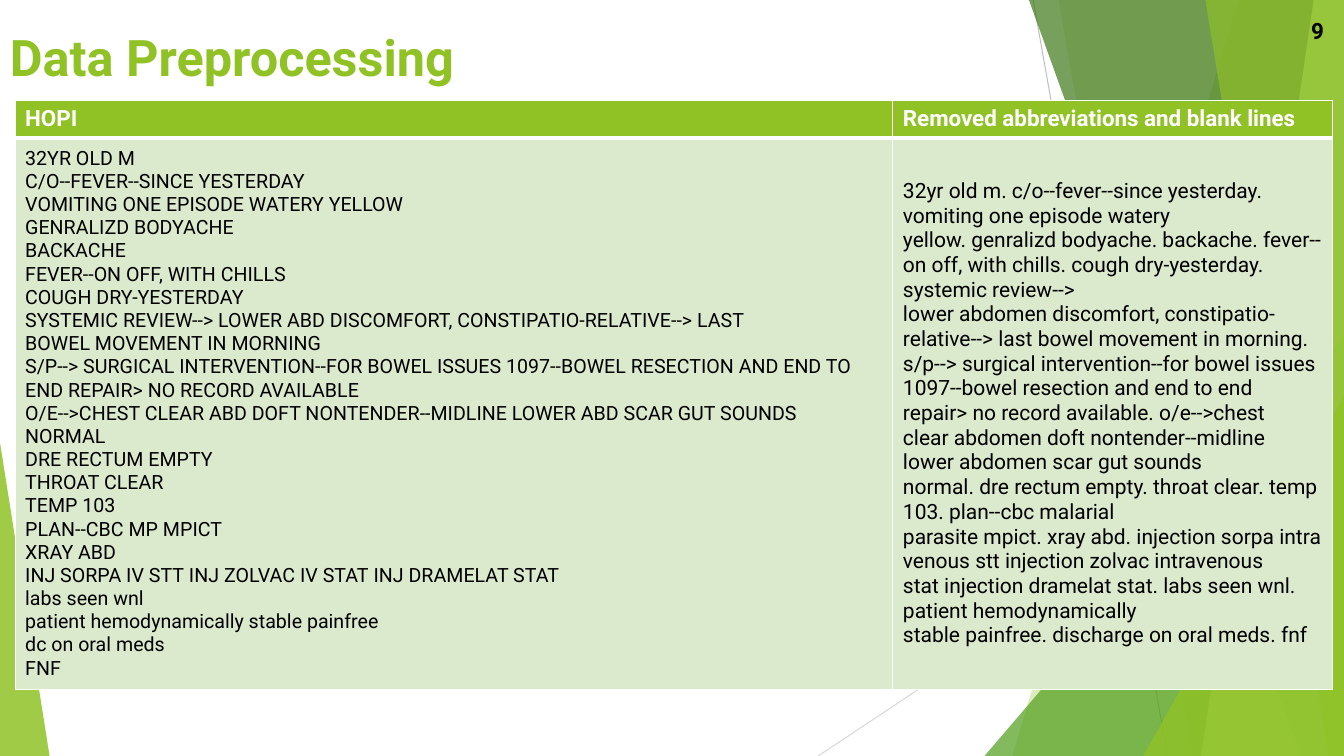
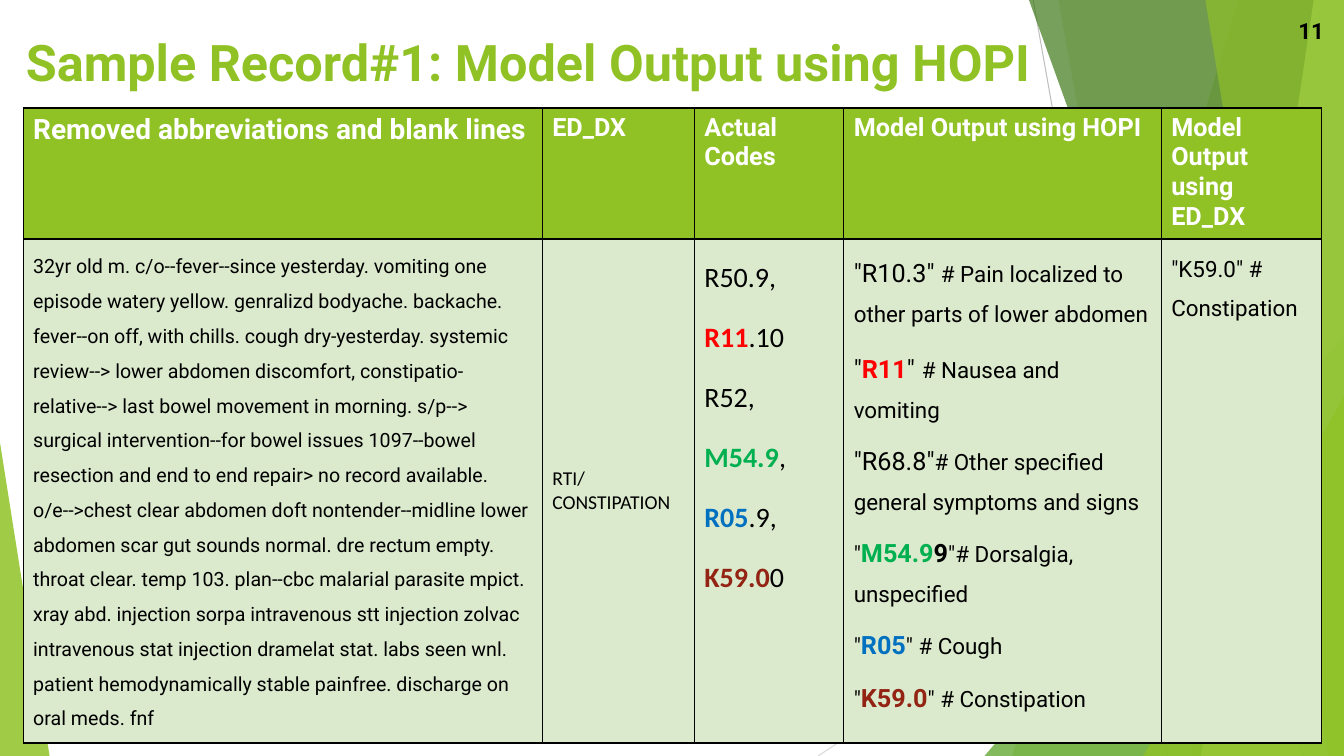
from lxml import etree
from pptx import Presentation
from pptx import util as u
from pptx.dml.color import RGBColor
from pptx.enum import shapes, text
from pptx.oxml.ns import qn

WHITE = RGBColor(0xFF, 0xFF, 0xFF)
BLACK = RGBColor(0x00, 0x00, 0x00)
LIME = RGBColor(0x90, 0xC2, 0x26)
GREEN = RGBColor(0x54, 0xA0, 0x21)
FOREST = RGBColor(0x3F, 0x78, 0x19)
PALE_LIME = RGBColor(0xC0, 0xE4, 0x74)
CELL_TINT = RGBColor(0xDB, 0xE9, 0xCD)
GREY = RGBColor(0xBF, 0xBF, 0xBF)
LIGHT_GREY = RGBColor(0xD9, 0xD9, 0xD9)
RED = RGBColor(0xFF, 0x00, 0x00)
EMERALD = RGBColor(0x00, 0xB0, 0x50)
BLUE = RGBColor(0x00, 0x70, 0xC0)
MAROON = RGBColor(0x93, 0x23, 0x13)

COLUMNS, ROWS = 160, 90
HARD_SPACE = chr(160)


def grid(count):
    return u.Emu(round(count * u.Inches(1) / 12))


def write(frame, lines, size=14, font="Roboto", color=BLACK, bold=False,
          spacing=None, before=0, align=None, anchor=text.MSO_ANCHOR.TOP):
    frame.word_wrap = True
    frame.vertical_anchor = anchor
    for index, line in enumerate(lines):
        paragraph = frame.add_paragraph() if index else frame.paragraphs[0]
        paragraph.alignment = align
        paragraph.line_spacing = spacing
        paragraph.space_before = u.Pt(before if index else 0)
        pieces = [(line, {})] if isinstance(line, str) else line
        for words, change in pieces:
            run = paragraph.add_run()
            run.text = words.replace("~", HARD_SPACE)
            run.font.name = font
            run.font.size = u.Pt(change.get("size", size))
            run.font.bold = change.get("bold", bold)
            run.font.color.rgb = change.get("color", color)


def code(words, color, size=18):
    return words, {"color": color, "bold": True, "size": size}


def sized(words, size=18):
    return words, {"size": size}


class Deck:
    """Holds the shared style and the slide being built, measured in grid cells."""

    def __init__(self):
        self.presentation = Presentation()
        self.presentation.slide_width = grid(COLUMNS)
        self.presentation.slide_height = grid(ROWS)
        self.slide = None

    def add_slide(self, title, number, left, top):
        self.slide = self.presentation.slides.add_slide(self.presentation.slide_layouts[6])
        self.backdrop()
        self.text(left, top, 138, 9, title, size=36, color=LIME, bold=True)
        self.number = number

    def add_number(self):
        self.text(149.8, 1.2, 9, 4.8, self.number, size=16, bold=True,
                  align=text.PP_ALIGN.RIGHT, anchor=text.MSO_ANCHOR.MIDDLE)

    def text(self, left, top, width, height, words, **style):
        box = self.slide.shapes.add_textbox(*map(grid, (left, top, width, height)))
        write(box.text_frame, [words], **style)

    def line(self, start, end, color):
        connector = self.slide.shapes.add_connector(
            shapes.MSO_CONNECTOR.STRAIGHT, *map(grid, start + end))
        connector.line.color.rgb = color
        connector.line.width = u.Pt(0.75)
        etree.SubElement(connector.element.spPr, qn("a:effectLst"))

    def paint(self, shape, color, opacity):
        shape.shadow.inherit = False
        shape.line.fill.background()
        shape.fill.solid()
        shape.fill.fore_color.rgb = color
        tint = shape.element.spPr.find(".//" + qn("a:srgbClr"))
        etree.SubElement(tint, qn("a:alpha"), val=str(opacity * 1000))

    def band(self, top_edge, bottom_edge, color, opacity):
        corners = [(COLUMNS, 0), (COLUMNS, ROWS), (bottom_edge, ROWS)]
        builder = self.slide.shapes.build_freeform(grid(top_edge), 0)
        builder.add_line_segments([(grid(x), grid(y)) for x, y in corners])
        self.paint(builder.convert_to_shape(), color, opacity)

    def wedge(self, left, top, width, peak, color, opacity):
        shape = self.slide.shapes.add_shape(
            shapes.MSO_SHAPE.ISOSCELES_TRIANGLE, *map(grid, (left, top, width, ROWS - top)))
        shape.adjustments[0] = peak
        self.paint(shape, color, opacity)

    def backdrop(self):
        self.line((123, 0), (139, ROWS), GREY)
        self.line((COLUMNS, 48.4), (97.4, ROWS), LIGHT_GREY)
        self.band(147.4, 120.5, LIME, 30)
        self.band(126, 142, LIME, 20)
        self.wedge(117.2, 40, 42.8, 1, GREEN, 72)
        self.band(122.5, 154.9, FOREST, 70)
        self.band(156.4, 143, PALE_LIME, 70)
        self.band(143.5, 158.2, LIME, 65)
        self.wedge(136.1, 47.2, 23.9, 1, LIME, 80)
        self.wedge(0, 52.7, 5.9, 0, LIME, 85)

    def borders(self, cell, color, widths):
        properties = cell._tc.get_or_add_tcPr()
        for index, (side, width) in enumerate(zip("LRTB", widths)):
            edge = etree.Element(qn("a:ln" + side), w=str(u.Pt(width)))
            fill = etree.SubElement(edge, qn("a:solidFill"))
            etree.SubElement(fill, qn("a:srgbClr"), val=str(color))
            properties.insert(index, edge)

    def table(self, left, top, widths, heights, headers, bodies, edge, divider=1):
        frame = self.slide.shapes.add_table(
            2, len(widths), *map(grid, (left, top, sum(widths), sum(heights))))
        table = frame.table
        table.horz_banding = False
        for column, width in zip(table.columns, widths):
            column.width = grid(width)
        for row, height in zip(table.rows, heights):
            row.height = grid(height)
        rows = ((headers, LIME, (1, 1, 1, divider)), (bodies, CELL_TINT, (1, 1, divider, 1)))
        for row, (contents, fill, lines) in enumerate(rows):
            for column, (words, style) in enumerate(contents):
                cell = table.cell(row, column)
                cell.fill.solid()
                cell.fill.fore_color.rgb = fill
                self.borders(cell, edge, lines)
                anchor = style.get("anchor", text.MSO_ANCHOR.TOP)
                write(cell.text_frame, words, **style)
                cell.vertical_anchor = anchor


NOTES = [
    "32YR OLD M",
    "C/O--FEVER--SINCE YESTERDAY",
    "VOMITING ONE EPISODE WATERY YELLOW",
    "GENRALIZD BODYACHE",
    "BACKACHE",
    "FEVER--ON OFF, WITH CHILLS",
    "COUGH DRY-YESTERDAY",
    "SYSTEMIC REVIEW--> LOWER~ABD~DISCOMFORT, CONSTIPATIO-RELATIVE--> LAST "
    "BOWEL~MOVEMENT IN MORNING",
    "S/P--> SURGICAL INTERVENTION--FOR BOWEL ISSUES 1097--BOWEL RESECTION AND END TO "
    "END~REPAIR> NO RECORD AVAILABLE",
    "O/E-->CHEST CLEAR~ABD~DOFT NONTENDER--MIDLINE LOWER~ABD~SCAR GUT SOUNDS NORMAL",
    "DRE RECTUM EMPTY",
    "THROAT CLEAR",
    "TEMP 103",
    "PLAN--CBC~MP~MPICT",
    "XRAY ABD",
    "INJ~SORPA IV STT~INJ~ZOLVAC IV STAT~INJ~DRAMELAT STAT",
    "labs seen~wnl",
    "patient hemodynamically stable~painfree",
    "dc on oral meds",
    "FNF",
]

RECORD = (
    "32yr old m. c/o--fever--since yesterday. vomiting~one episode watery "
    "yellow.~genralizd~bodyache.~backache. fever--on off, with chills. cough dry-yesterday. "
    "systemic review--> lower~abdomen~discomfort,~constipatio-relative--> last "
    "bowel~movement in morning. s/p--> surgical intervention--for bowel issues 1097--bowel "
    "resection and end to~end repair> no record available. o/e-->chest "
    "clear~abdomen~doft~nontender--midline lower~abdomen~scar gut sounds "
    "normal.~dre~rectum empty. throat~clear. temp 103. plan--cbc~malarial "
    "parasite~mpict.~xray~abd.~injection~sorpa~intravenous~stt~injection~zolvac~intravenous "
    "stat~injection~dramelat~stat. labs~seen~wnl. patient hemodynamically "
    "stable~painfree.~discharge on oral meds.~fnf"
)

ACTUAL_CODES = [
    "R50.9,",
    [code("R11", RED, 20), (".10", {})],
    "R52,",
    [code("M54.9", EMERALD, 20), (",", {})],
    [code("R05", BLUE, 20), (".9,", {})],
    [code("K59.0", MAROON, 20), ("0", {})],
]

MODEL_CODES = [
    [sized('"R10.3" '), ("# Pain localized to other parts of lower abdomen", {})],
    [sized('"'), code("R11", RED), sized('"'), sized(" ", 20), ("# Nausea and vomiting", {})],
    [sized('"R68.8"'), ("# Other specified general symptoms and signs", {})],
    [('"', {}), code("M54.9", EMERALD), code("9", BLACK), ('"# Dorsalgia, unspecified', {})],
    [('"', {}), code("R05", BLUE), ('" # Cough', {})],
    [('"', {}), code("K59.0", MAROON), ('" # Constipation', {})],
]


def header(words, size):
    return [words], {"size": size, "color": WHITE, "bold": True}


def main():
    deck = Deck()
    middle = text.MSO_ANCHOR.MIDDLE
    loose = {"spacing": 1.5, "before": 6}

    deck.add_slide("Data Preprocessing", "9", 0, 2.5)
    deck.table(
        1.8, 12, (104.5, 52.3), (4.35, 64.7),
        [header("HOPI", 16), header("Removed~abbreviations and blank lines", 16)],
        [(NOTES, {"anchor": middle}), ([RECORD], {"size": 15, "anchor": middle})],
        WHITE, divider=3)
    deck.add_number()

    deck.add_slide("Sample Record#1: Model Output using HOPI", "11", 1.9, 3.1)
    names = ("ED_DX", "Actual Codes", "Model Output using HOPI", "Model Output using ED_DX")
    deck.table(
        2.75, 12.85, (61.8, 18.1, 17.8, 37.8, 19.1), (15.25, 59.15),
        [header("Removed abbreviations and blank lines", 20)]
        + [header(name, 18) for name in names],
        [([RECORD.replace("~", " ")], {"spacing": 1.5}),
         (["RTI/", "CONSTIPATION"], {"font": "Calibri", "anchor": middle}),
         (ACTUAL_CODES, {"font": "Calibri", "size": 20, **loose}),
         (MODEL_CODES, {"size": 16, **loose}),
         (['"K59.0" # Constipation'], {"size": 16, **loose})],
        BLACK)
    deck.add_number()

    deck.presentation.save("out.pptx")


if __name__ == "__main__":
    main()
